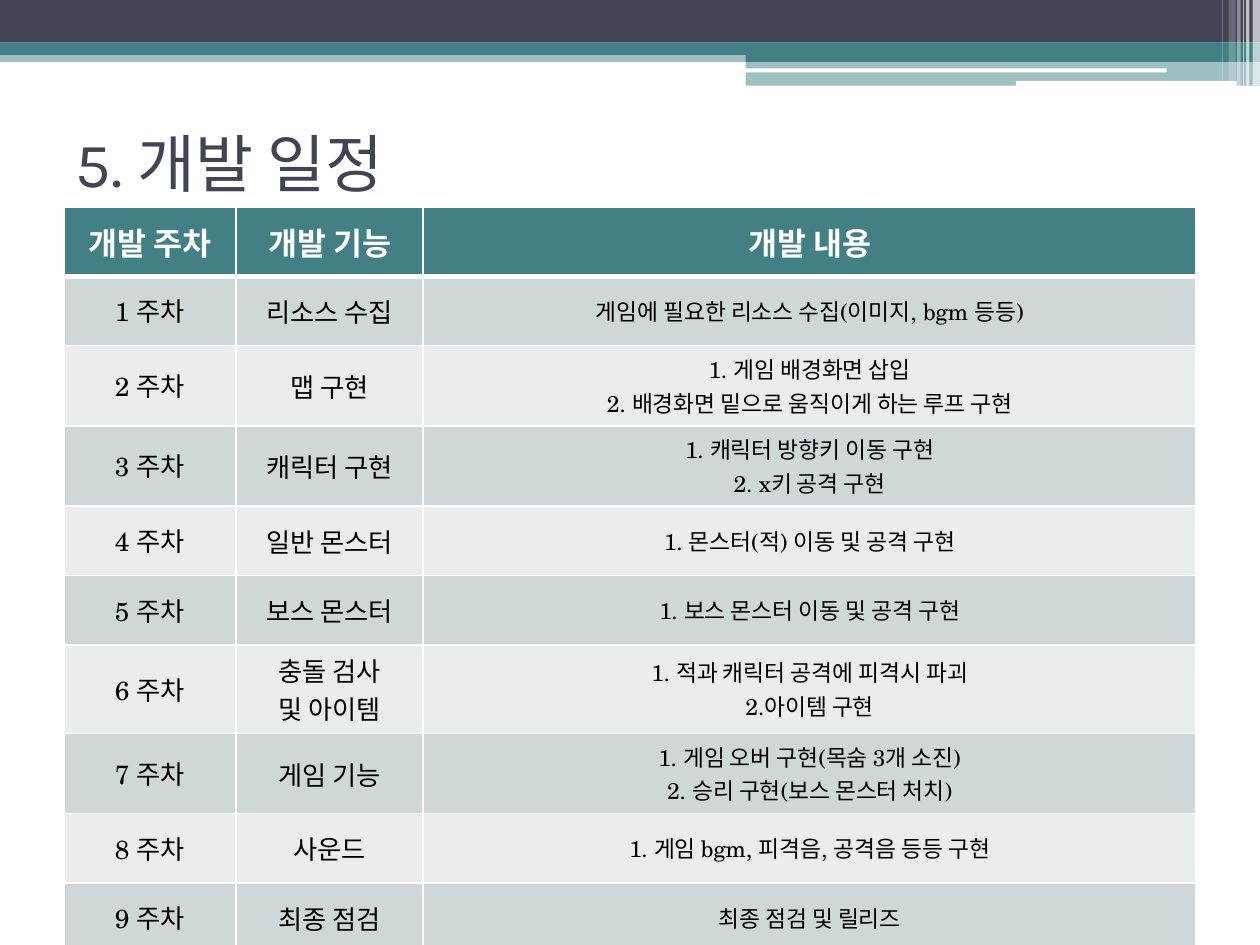
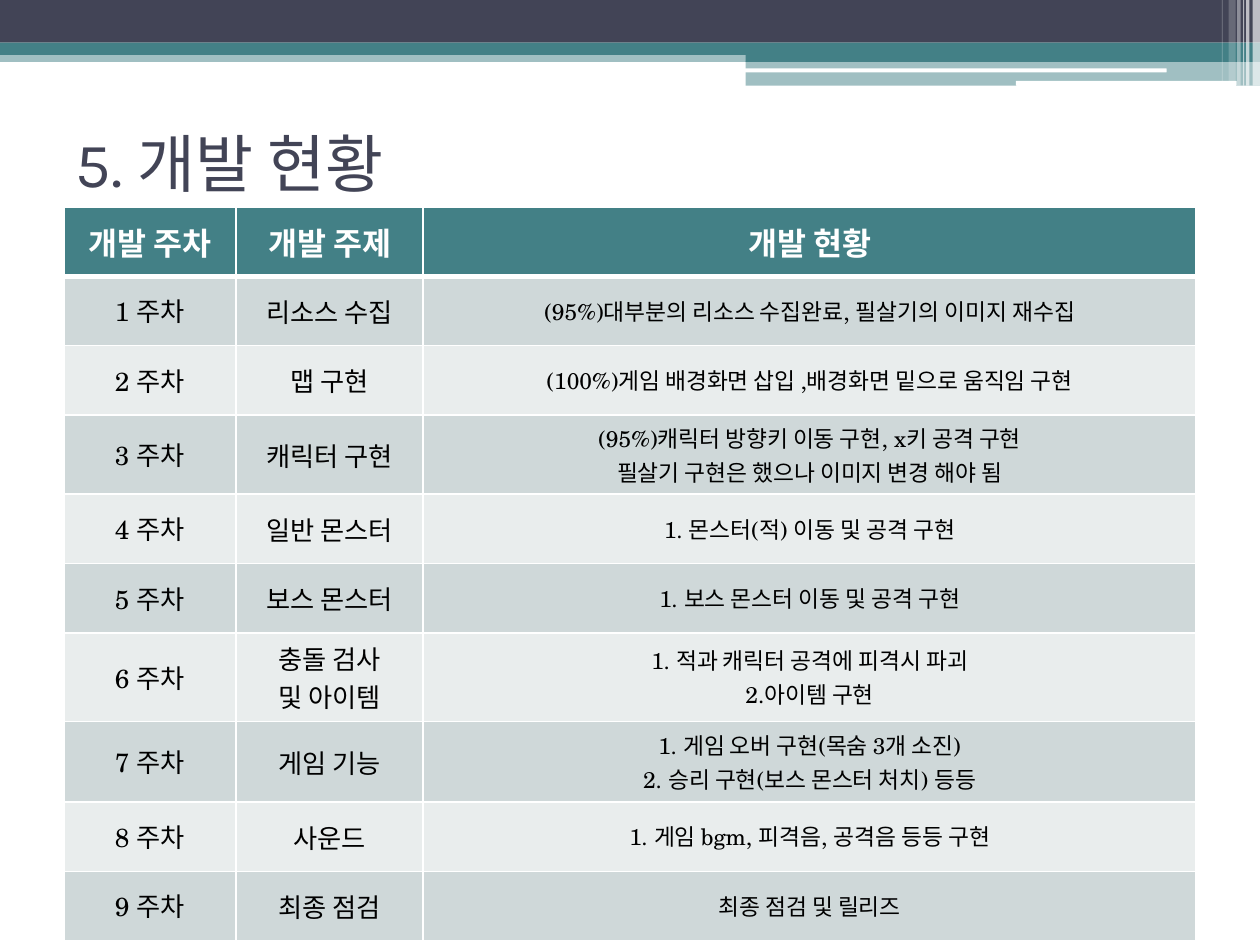
from typing import NamedTuple

from lxml.etree import SubElement
from pptx import Presentation
from pptx.dml.color import RGBColor
from pptx.enum.shapes import MSO_SHAPE as Preset
from pptx.enum.text import MSO_ANCHOR as Anchor, PP_ALIGN as Align
from pptx.oxml.ns import qn
from pptx.util import Cm, Pt

NAVY, TEAL, WHITE, BLACK = "424456", "438086", "FFFFFF", "000000"
ROW_FILLS = ("CFD8D9", "E9EDED")
TITLE_FONT, TABLE_FONT = "Karla", "TeX Gyre Schola"

COLUMN_WIDTHS = (3.47, 3.77, 15.58)
ROW_HEIGHT = 1.4
BODY_SIZES = (15, 15, 13)


class Bar(NamedTuple):
    left: float
    top: float
    width: float
    height: float
    color: str
    opacity: int = 100
    preset: Preset = Preset.RECTANGLE


class Plan(NamedTuple):
    title: str
    headers: tuple[str, str, str]
    details: list[str]


BARS = [
    Bar(0, 1.02, 25.4, 0.23, TEAL, 50),
    Bar(0, 0, 25.4, 0.86, NAVY),
    Bar(0, 0.86, 25.4, 0.25, TEAL),
    Bar(15.03, 1, 10.37, 0.25, TEAL),
    Bar(15.03, 1.23, 10.37, 0.5, TEAL, 50),
    Bar(15.01, 1.38, 8.51, 0.08, WHITE, preset=Preset.ROUNDED_RECTANGLE),
    Bar(20.48, 1.63, 4.45, 0.1, WHITE, preset=Preset.ROUNDED_RECTANGLE),
    Bar(25.25, 0, 0.15, 1.73, WHITE, 65),
    Bar(25.12, 0, 0.07, 1.73, WHITE, 65),
    Bar(25.06, 0, 0.02, 1.73, WHITE, 60),
    Bar(24.94, 0, 0.07, 1.73, WHITE, 40),
    Bar(24.77, 0, 0.14, 1.63, WHITE, 20),
    Bar(24.63, 0, 0.02, 1.63, WHITE, 30),
]

FEATURES = [
    "리소스 수집",
    "맵 구현",
    "캐릭터 구현",
    "일반 몬스터",
    "보스 몬스터",
    "충돌 검사\n및 아이템",
    "게임 기능",
    "사운드",
    "최종 점검",
]
MONSTER_DETAILS = [
    "1. 몬스터(적) 이동 및 공격 구현",
    "1. 보스 몬스터 이동 및 공격 구현",
    "1. 적과 캐릭터 공격에 피격시 파괴\n2.아이템 구현",
]
GAME_DETAILS = "1. 게임 오버 구현(목숨 3개 소진)\n2. 승리 구현(보스 몬스터 처치)"
FINAL_DETAILS = ["1. 게임 bgm, 피격음, 공격음 등등 구현", "최종 점검 및 릴리즈"]

PLANS = [
    Plan(
        "5. 개발 일정",
        ("개발 주차", "개발 기능", "개발 내용"),
        [
            "게임에 필요한 리소스 수집(이미지, bgm 등등)",
            "1. 게임 배경화면 삽입\n2. 배경화면 밑으로 움직이게 하는 루프 구현",
            "1. 캐릭터 방향키 이동 구현\n2. x키 공격 구현",
            *MONSTER_DETAILS,
            GAME_DETAILS,
            *FINAL_DETAILS,
        ],
    ),
    Plan(
        "5. 개발 현황",
        ("개발 주차", "개발 주제", "개발 현황"),
        [
            "(95%)대부분의 리소스 수집완료, 필살기의 이미지 재수집",
            "(100%)게임 배경화면 삽입 ,배경화면 밑으로 움직임 구현",
            "(95%)캐릭터 방향키 이동 구현, x키 공격 구현\n"
            "필살기 구현은 했으나 이미지 변경 해야 됨",
            *MONSTER_DETAILS,
            GAME_DETAILS + " 등등",
            *FINAL_DETAILS,
        ],
    ),
]


def rgb(color: str) -> RGBColor:
    return RGBColor.from_string(color)


def set_font(paragraph, name: str, size: float, color: str, bold: bool = False) -> None:
    font = paragraph.font
    font.name, font.size, font.bold = name, Pt(size), bold
    font.color.rgb = rgb(color)


def add_bar(slide, bar: Bar):
    shape = slide.shapes.add_shape(
        bar.preset, Cm(bar.left), Cm(bar.top), Cm(bar.width), Cm(bar.height)
    )
    shape.shadow.inherit = False
    shape.line.fill.background()
    shape.fill.solid()
    shape.fill.fore_color.rgb = rgb(bar.color)
    if bar.opacity < 100:
        color = shape.element.find(".//" + qn("a:srgbClr"))
        SubElement(color, qn("a:alpha"), val=str(bar.opacity * 1000))
    return shape


def move_bars_to_layout(slide) -> None:
    """Draw the header bars and hand them to the layout that the slides share."""
    shapes = [add_bar(slide, bar) for bar in BARS]
    for shape_id, shape in enumerate(shapes, start=101):
        shape.element.find(".//" + qn("p:cNvPr")).set("id", str(shape_id))
        slide.slide_layout.shapes.element.append(shape.element)


def add_title(slide, text: str) -> None:
    title = slide.shapes.title
    title.left, title.top, title.width, title.height = Cm(1.27), Cm(1.78), Cm(22.86), Cm(2.97)
    title.text_frame.text = text
    title.text_frame.vertical_anchor = Anchor.MIDDLE
    paragraph = title.text_frame.paragraphs[0]
    paragraph.alignment = Align.LEFT
    set_font(paragraph, TITLE_FONT, 36, NAVY)


def set_borders(cell, top: float, bottom: float) -> None:
    properties = cell._tc.get_or_add_tcPr()
    for side, width in (("L", 1), ("R", 1), ("T", top), ("B", bottom)):
        line = SubElement(properties, qn("a:ln" + side), w=str(Pt(width)))
        SubElement(SubElement(line, qn("a:solidFill")), qn("a:srgbClr"), val=WHITE)


def format_cell(cell, text: str, row: int, column: int) -> None:
    is_header = row == 0
    set_borders(cell, top=3 if row == 1 else 1, bottom=3 if is_header else 1)
    cell.fill.solid()
    cell.fill.fore_color.rgb = rgb(TEAL if is_header else ROW_FILLS[(row - 1) % 2])
    cell.vertical_anchor = Anchor.MIDDLE
    cell.text = text
    size = 18 if is_header else BODY_SIZES[column]
    for paragraph in cell.text_frame.paragraphs:
        paragraph.alignment = Align.CENTER
        set_font(paragraph, TABLE_FONT, size, WHITE if is_header else BLACK, is_header)


def add_plan_table(slide, plan: Plan) -> None:
    weeks = [
        (f"{week} 주차", feature, detail)
        for week, (feature, detail) in enumerate(zip(FEATURES, plan.details), start=1)
    ]
    rows = [plan.headers, *weeks]
    table = slide.shapes.add_table(
        len(rows), len(COLUMN_WIDTHS), Cm(1.29), Cm(4.17),
        Cm(sum(COLUMN_WIDTHS)), Cm(ROW_HEIGHT * len(rows)),
    ).table
    for column, width in zip(table.columns, COLUMN_WIDTHS):
        column.width = Cm(width)
    for row_index, texts in enumerate(rows):
        table.rows[row_index].height = Cm(ROW_HEIGHT)
        for column_index, text in enumerate(texts):
            format_cell(table.cell(row_index, column_index), text, row_index, column_index)


def main() -> None:
    presentation = Presentation()
    presentation.slide_width, presentation.slide_height = Cm(25.4), Cm(19.05)
    title_only = presentation.slide_layouts[5]
    for plan in PLANS:
        slide = presentation.slides.add_slide(title_only)
        add_title(slide, plan.title)
        add_plan_table(slide, plan)
    move_bars_to_layout(presentation.slides[0])
    presentation.save("out.pptx")


if __name__ == "__main__":
    main()
